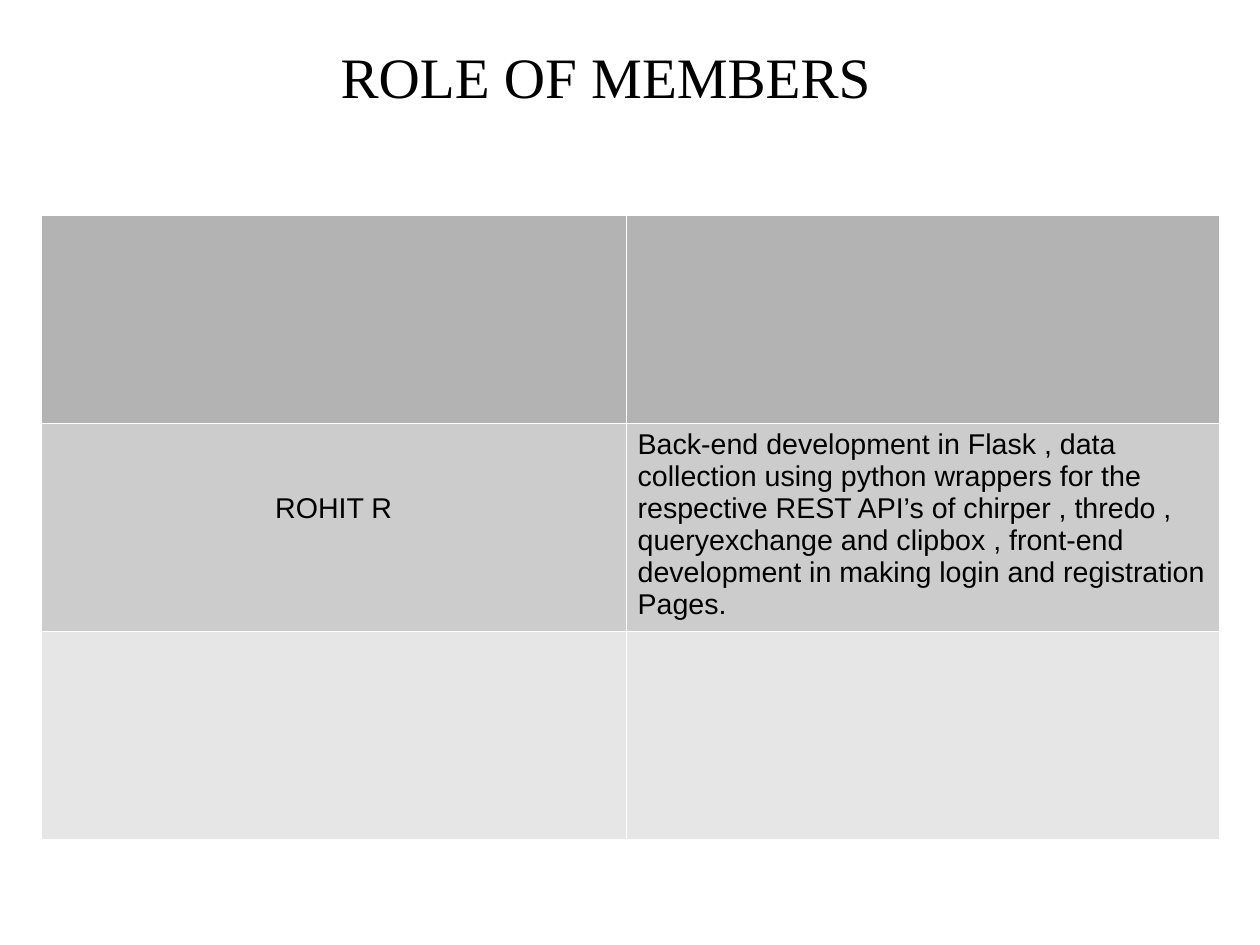
from dataclasses import dataclass

from lxml.etree import SubElement
from pptx import Presentation
from pptx.dml.color import RGBColor
from pptx.enum.text import MSO_ANCHOR, PP_ALIGN
from pptx.oxml.ns import qn
from pptx.util import Inches, Pt

# Content
HEADING = "ROLE OF MEMBERS"
MEMBER = "ROHIT R"
ROLE = [
    "Back-end development in Flask , data collection using python wrappers "
    "for the respective REST API’s of chirper , thredo , queryexchange and "
    "clipbox , front-end development in making login and registration",
    "Pages.",
]
ROWS = [([], []), ([MEMBER], ROLE), ([], [])]


@dataclass(frozen=True)
class Theme:
    row_fills: tuple = ("B3B3B3", "CCCCCC", "E6E6E6")
    border: str = "FFFFFF"
    border_width: float = 0.06
    text: str = "000000"
    title_font: str = "Times New Roman"
    title_size: int = 36
    body_font: str = "Arial"
    body_size: int = 18


THEME = Theme()
PAGE_POINTS = (793.75, 595.25)  # 11.02 by 8.27 inches
COLUMN_WIDTHS = (5.12, 5.19)
ROW_HEIGHT = 1.82
MEMBER_TOP_MARGIN = 0.61


def style(paragraph, font, size):
    for run in paragraph.runs:
        run.font.name = font
        run.font.size = Pt(size)
        run.font.color.rgb = RGBColor.from_string(THEME.text)


def add_borders(cell):
    properties = cell._tc.get_or_add_tcPr()
    for position, side in enumerate(("lnL", "lnR", "lnT", "lnB")):
        line = SubElement(properties, qn(f"a:{side}"), w=str(Pt(THEME.border_width)))
        fill = SubElement(line, qn("a:solidFill"))
        SubElement(fill, qn("a:srgbClr"), val=THEME.border)
        properties.insert(position, line)  # borders come before the cell fill


def add_title(slide):
    title = slide.shapes.title
    title.left, title.top = Inches(0.1), Inches(0.12)
    title.width, title.height = Inches(10.4), Inches(1.08)
    frame = title.text_frame
    frame.text = HEADING
    frame.vertical_anchor = MSO_ANCHOR.MIDDLE
    frame.margin_left = frame.margin_right = 0
    frame.margin_top = frame.margin_bottom = 0
    frame.paragraphs[0].alignment = PP_ALIGN.CENTER
    style(frame.paragraphs[0], THEME.title_font, THEME.title_size)


def add_roles(slide):
    roles = slide.shapes.add_table(
        len(ROWS), len(COLUMN_WIDTHS), Inches(0.36), Inches(1.88),
        Inches(sum(COLUMN_WIDTHS)), Inches(ROW_HEIGHT * len(ROWS))).table
    for column, width in zip(roles.columns, COLUMN_WIDTHS):
        column.width = Inches(width)

    for row, contents, color in zip(roles.rows, ROWS, THEME.row_fills):
        row.height = Inches(ROW_HEIGHT)
        for cell, lines in zip(row.cells, contents):
            cell.fill.solid()
            cell.fill.fore_color.rgb = RGBColor.from_string(color)
            add_borders(cell)
            cell.text_frame.text = "\n".join(lines)
            for paragraph in cell.text_frame.paragraphs:
                style(paragraph, THEME.body_font, THEME.body_size)

    # The member's name sits centred, level with the third line of the role
    member = roles.cell(1, 0)
    member.margin_top = Inches(MEMBER_TOP_MARGIN)
    member.text_frame.paragraphs[0].alignment = PP_ALIGN.CENTER


def main():
    deck = Presentation()
    deck.slide_width, deck.slide_height = map(Pt, PAGE_POINTS)
    slide = deck.slides.add_slide(deck.slide_layouts[5])
    add_title(slide)
    add_roles(slide)
    deck.save("out.pptx")


if __name__ == "__main__":
    main()
